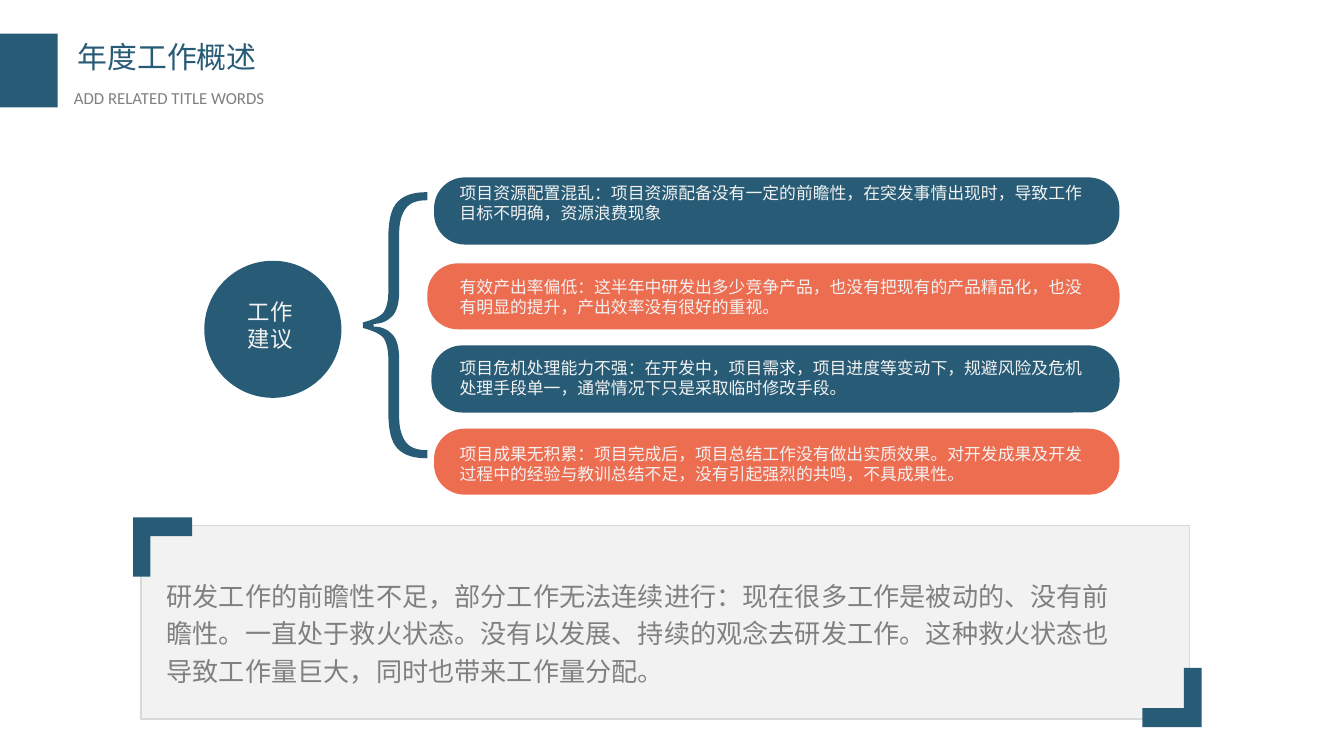
import pptx
import pptx.util
import pptx.dml.color
import pptx.enum.shapes
import pptx.enum.text

Inches = pptx.util.Inches
Pt = pptx.util.Pt
RGBColor = pptx.dml.color.RGBColor
Kind = pptx.enum.shapes.MSO_SHAPE
Align = pptx.enum.text.PP_ALIGN
Anchor = pptx.enum.text.MSO_ANCHOR

BLUE = RGBColor(0x28, 0x5C, 0x76)
CORAL = RGBColor(0xED, 0x6D, 0x51)
PALE = RGBColor(0xF2, 0xF2, 0xF2)
RULE = RGBColor(0xD9, 0xD9, 0xD9)
GRAY = RGBColor(0x80, 0x80, 0x80)
SANS = "Noto Sans CJK SC"


def paint(shape, color, edge=None):
    shape.shadow.inherit = False
    shape.fill.solid()
    shape.fill.fore_color.rgb = color
    if edge is None:
        shape.line.fill.background()
    else:
        shape.line.color.rgb = edge
        shape.line.width = Pt(0.75)


def write(shape, place, lines, size, color, face=SANS, align=Align.LEFT, space=1.0):
    for name, value in zip(("left", "top", "width", "height"), place):
        setattr(shape, name, Inches(value))
    frame = shape.text_frame
    form = {
        "word_wrap": True,
        "vertical_anchor": Anchor.TOP,
        "margin_left": Inches(0.07),
        "margin_right": Inches(0.07),
        "margin_top": Inches(0.04),
        "margin_bottom": Inches(0.04),
    }
    for name, value in form.items():
        setattr(frame, name, value)
    frame.text = "\n".join(lines)
    for para in frame.paragraphs:
        para.alignment = align
        para.line_spacing = space
        para.space_before = Pt(0)
        font = para.runs[0].font
        for name, value in {"name": face, "size": Pt(size), "bold": False}.items():
            setattr(font, name, value)
        font.color.rgb = color


deck = pptx.Presentation()
deck.slide_width = Inches(10)
deck.slide_height = Pt(405)
slide = deck.slides.add_slide(deck.slide_layouts[5])
shapes = slide.shapes

tab = shapes.add_shape(Kind.RECTANGLE, 0, Inches(0.25), Inches(0.43), Inches(0.55))
paint(tab, BLUE)
write(shapes.title, (0.51, 0.25, 2.01, 0.35), ["年度工作概述"], 16, BLUE, align=Align.JUSTIFY)
label = shapes.add_textbox(0, 0, 0, 0)
write(label, (0.48, 0.61, 2.23, 0.23), ["ADD RELATED TITLE WORDS"], 9, GRAY, "Calibri", Align.JUSTIFY)

curves = [
    [(2.7, 2.4), (2.77, 2.38), (2.82, 2.36), (2.85, 2.33)],
    [(2.85, 2.33), (2.88, 2.29), (2.89, 2.23), (2.89, 2.15)],
    [(2.89, 1.77), (2.89, 1.64), (2.91, 1.55), (2.96, 1.5)],
    [(2.96, 1.5), (3.01, 1.45), (3.08, 1.43), (3.18, 1.43)],
    [(3.18, 1.49), (3.1, 1.49), (3.05, 1.51), (3.02, 1.55)],
    [(3.02, 1.55), (2.99, 1.59), (2.97, 1.65), (2.97, 1.74)],
    [(2.97, 2.17), (2.97, 2.26), (2.95, 2.33), (2.91, 2.36)],
    [(2.91, 2.36), (2.87, 2.4), (2.82, 2.41), (2.78, 2.41)],
]
steps = 8
upper = []
for curve in curves:
    for step in range(steps + 1):
        t = step / steps
        mix = ((1 - t) ** 3, 3 * t * (1 - t) ** 2, 3 * t * t * (1 - t), t ** 3)
        upper.append([sum(m * point[axis] for m, point in zip(mix, curve)) for axis in (0, 1)])
lower = [(x, 4.84 - y) for x, y in reversed(upper)]

left, top, right, base = 0.99, 3.85, 8.94, 5.41
corner = [(0, 0), (0.44, 0), (0.44, 0.14), (0.13, 0.14), (0.13, 0.44), (0, 0.44)]
first = [(left + x, top + y) for x, y in corner]
last = [(right - x, base - y) for x, y in corner]

disc = shapes.add_shape(Kind.OVAL, Inches(1.52), Inches(1.94), Inches(1.02), Inches(1.02))
paint(disc, BLUE)
topic = shapes.add_textbox(0, 0, 0, 0)
write(topic, (1.54, 2.18, 0.94, 0.48), ["工作", "建议"], 12, PALE, align=Align.CENTER)

rows = [
    (3.23, 1.32, 0.5, 1.32, BLUE, "项目资源配置混乱：项目资源配备没有一定的前瞻性，在突发事情出现时，导致工作目标不明确，资源浪费现象"),
    (3.18, 1.96, 0.49, 2.02, CORAL, "有效产出率偏低：这半年中研发出多少竞争产品，也没有把现有的产品精品化，也没有明显的提升，产出效率没有很好的重视。"),
    (3.21, 2.57, 0.5, 2.62, BLUE, "项目危机处理能力不强：在开发中，项目需求，项目进度等变动下，规避风险及危机处理手段单一，通常情况下只是采取临时修改手段。"),
    (3.23, 3.19, 0.49, 3.26, CORAL, "项目成果无积累：项目完成后，项目总结工作没有做出实质效果。对开发成果及开发过程中的经验与教训总结不足，没有引起强烈的共鸣，不具成果性。"),
]
for x, y, high, line, color, text in rows:
    pill = shapes.add_shape(Kind.ROUNDED_RECTANGLE, Inches(x), Inches(y), Inches(8.33 - x), Inches(high))
    pill.adjustments[0] = 0.46
    paint(pill, color)
    note = shapes.add_textbox(0, 0, 0, 0)
    write(note, (3.35, line, 4.88, 0.38), [text], 9, PALE)
paint(note, CORAL, CORAL)

panel = shapes.add_shape(Kind.RECTANGLE, Inches(1.05), Inches(3.91), Inches(7.8), Inches(1.44))
paint(panel, PALE, RULE)
body = shapes.add_textbox(0, 0, 0, 0)
write(
    body,
    (1.17, 4.23, 7.33, 0.95),
    ["研发工作的前瞻性不足，部分工作无法连续进行：现在很多工作是被动的、没有前瞻性。一直处于救火状态。没有以发展、持续的观念去研发工作。这种救火状态也导致工作量巨大，同时也带来工作量分配。"],
    14,
    GRAY,
    space=1.2,
)

for points in (upper + lower, first, last):
    pen = shapes.build_freeform(Inches(points[0][0]), Inches(points[0][1]))
    pen.add_line_segments([(Inches(x), Inches(y)) for x, y in points[1:]])
    paint(pen.convert_to_shape(), BLUE)
deck.save("out.pptx")
